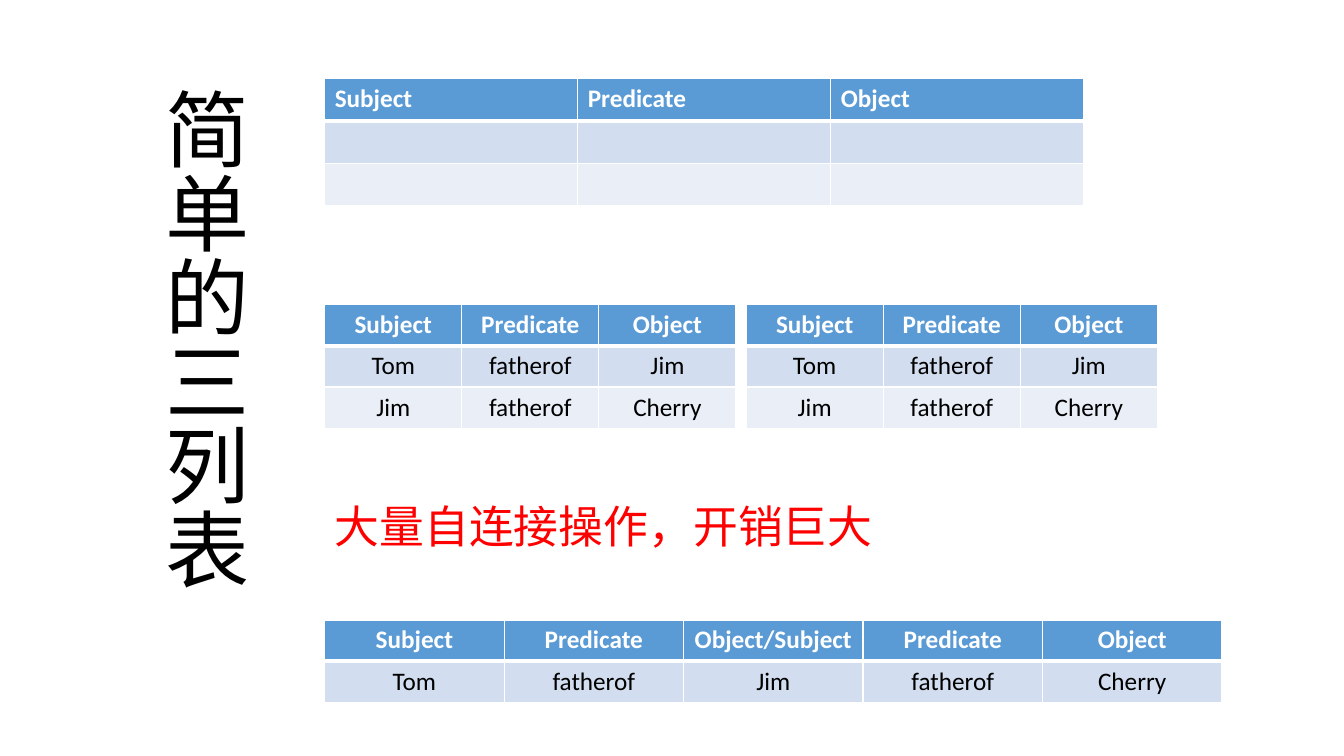
from lxml.etree import SubElement
from pptx import Presentation
from pptx.dml.color import RGBColor
from pptx.enum.text import MSO_ANCHOR, PP_ALIGN
from pptx.oxml.ns import qn
from pptx.util import Emu, Pt

PX = 9144  # 100 px to the inch
COLORS = {"header": "5B9BD5", "odd": "D2DEEF", "even": "EAEFF7",
          "white": "FFFFFF", "black": "000000", "red": "FF0000"}
CJK_FONT = "Noto Sans CJK SC"


def style_paragraph(paragraph, size, color, font_name="Calibri", bold=False):
    font = paragraph.font
    font.size = Pt(size)
    font.bold = bold
    font.name = font_name
    font.color.rgb = RGBColor.from_string(COLORS[color])
    SubElement(font._element, qn("a:ea"), typeface=CJK_FONT)


def add_border(cell, side, width):
    """Draw a white border on one side (L, R, T or B), width in points."""
    line = SubElement(cell._tc.get_or_add_tcPr(), qn(f"a:ln{side}"), w=str(Pt(width)))
    fill = SubElement(line, qn("a:solidFill"))
    SubElement(fill, qn("a:srgbClr"), val=COLORS["white"])


presentation = Presentation()
presentation.slide_width = Emu(1333 * PX)
presentation.slide_height = Emu(750 * PX)
slide = presentation.slides.add_slide(presentation.slide_layouts[5])

title = slide.shapes.title
title.left, title.top, title.width, title.height = [
    Emu(length * PX) for length in (142, 82, 121, 561)]
title.text_frame.text = "简单的三列表"
title.text_frame.vertical_anchor = MSO_ANCHOR.TOP
title.text_frame._txBody.bodyPr.set("vert", "eaVert")
title.text_frame.paragraphs[0].alignment = PP_ALIGN.LEFT
style_paragraph(title.text_frame.paragraphs[0], 60, "black")

triple_header = ["Subject", "Predicate", "Object"]
family = [triple_header, ["Tom", "fatherof", "Jim"], ["Jim", "fatherof", "Cherry"]]
joined = [["Subject", "Predicate", "Object/Subject", "Predicate", "Object"],
          ["Tom", "fatherof", "Jim", "fatherof", "Cherry"]]

# left, top, column width, row height, alignment, rows
tables = [
    (322, 78, 251, 42, PP_ALIGN.LEFT, [triple_header, [""] * 3, [""] * 3]),
    (322, 302, 136, 41, PP_ALIGN.CENTER, family),
    (740, 302, 136, 41, PP_ALIGN.CENTER, family),
    (322, 615, 178, 41, PP_ALIGN.CENTER, joined),
]
for left, top, column_width, row_height, alignment, rows in tables:
    column_count = len(rows[0])
    table = slide.shapes.add_table(
        len(rows), column_count, Emu(left * PX), Emu(top * PX),
        Emu(column_width * column_count * PX), Emu(row_height * len(rows) * PX)).table
    for row_index, row in enumerate(rows):
        is_header = row_index == 0
        fill_name = "header" if is_header else ("even", "odd")[row_index % 2]
        for column_index, text in enumerate(row):
            cell = table.cell(row_index, column_index)
            add_border(cell, "L", 1)
            add_border(cell, "R", 1)
            add_border(cell, "T", 3 if row_index == 1 else 1)
            add_border(cell, "B", 3 if is_header else 1)
            cell.fill.solid()
            cell.fill.fore_color.rgb = RGBColor.from_string(COLORS[fill_name])
            cell.text = text
            paragraph = cell.text_frame.paragraphs[0]
            paragraph.alignment = alignment
            style_paragraph(paragraph, 18, "white" if is_header else "black", bold=is_header)

remark = slide.shapes.add_textbox(
    Emu(322 * PX), Emu(490 * PX), Emu(651 * PX), Emu(64 * PX)).text_frame
remark.word_wrap = True
remark.text = "大量自连接操作，开销巨大"
style_paragraph(remark.paragraphs[0], 32, "red", CJK_FONT)

presentation.save("out.pptx")
